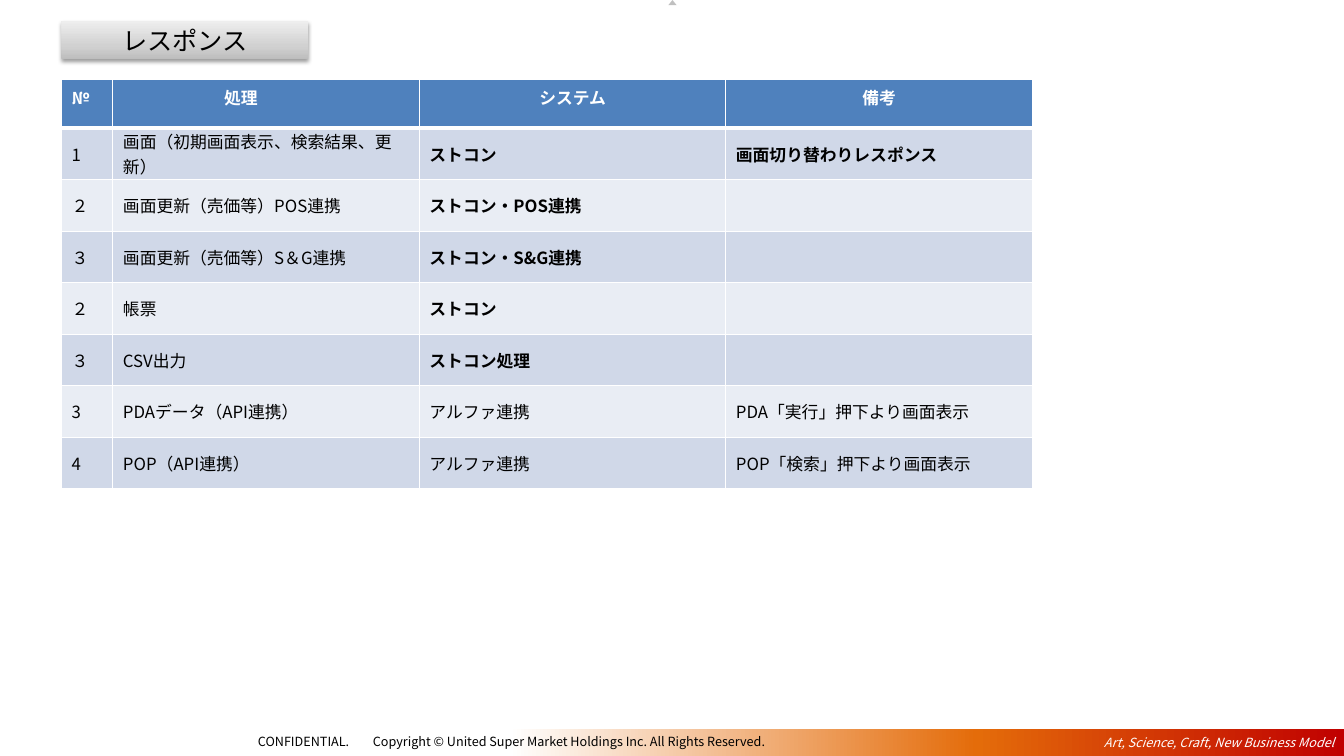
from lxml.etree import SubElement
from pptx import Presentation
from pptx.dml.color import RGBColor
from pptx.enum.shapes import MSO_SHAPE
from pptx.enum.text import MSO_ANCHOR, PP_ALIGN
from pptx.oxml.ns import qn
from pptx.util import Inches, Pt

JP = "Noto Sans CJK JP"
TC = "Noto Sans CJK TC"
HEADERS = ["№", "処理", "システム", "備考"]
ROWS = [
    ["1", "画面（初期画面表示、検索結果、更新）", "ストコン", "画面切り替わりレスポンス"],
    ["２", "画面更新（売価等）POS連携", "ストコン・POS連携", ""],
    ["３", "画面更新（売価等）S＆G連携", "ストコン・S&G連携", ""],
    ["２", "帳票", "ストコン", ""],
    ["３", "CSV出力", "ストコン処理", ""],
    ["3", "PDAデータ（API連携）", "アルファ連携", "PDA「実行」押下より画面表示"],
    ["4", "POP（API連携）", "アルファ連携", "POP「検索」押下より画面表示"],
]
BOLD_ROWS = 5


def rgb(color):
    """Turn a hex string into a colour."""
    return RGBColor.from_string(color)


def add_text(tf, text, size=12, font=JP, color="000000", bold=False, italic=False,
             align=PP_ALIGN.LEFT):
    """Write one formatted line into the first paragraph of a text frame."""
    p = tf.paragraphs[0]
    p.alignment = align
    r = p.add_run()
    r.text = text
    r.font.size, r.font.name = Pt(size), font
    r.font.bold, r.font.italic = bold, italic
    r.font.color.rgb = rgb(color)
    SubElement(r._r.get_or_add_rPr(), qn("a:ea"), typeface=font)


def add_box(slide, shape, x, y, w, h):
    """Add a preset shape without line or shadow."""
    sp = slide.shapes.add_shape(shape, Inches(x), Inches(y), Inches(w), Inches(h))
    sp.shadow.inherit = False
    sp.line.fill.background()
    sp.text_frame.vertical_anchor = MSO_ANCHOR.MIDDLE
    return sp


def set_gradient(sp, stops, angle):
    """Fill a shape with a linear gradient, its angle counter-clockwise."""
    sp.fill.gradient()
    sp.fill.gradient_angle = angle
    gs_lst = sp._element.spPr.find(qn("a:gradFill")).find(qn("a:gsLst"))
    gs_lst.clear()
    for pos, color in stops:
        gs = SubElement(gs_lst, qn("a:gs"), pos=str(pos * 1000))
        SubElement(gs, qn("a:srgbClr"), val=color)


def set_shadow(sp):
    """Give a shape a soft shadow straight below."""
    effects = sp._element.spPr.find(qn("a:effectLst"))
    shadow = SubElement(effects, qn("a:outerShdw"), blurRad=str(Pt(3.1)), dist=str(Pt(1.6)),
                        dir="5400000", rotWithShape="0")
    color = SubElement(shadow, qn("a:srgbClr"), val="000000")
    SubElement(color, qn("a:alpha"), val="38000")


def set_borders(cell, bottom):
    """Draw white cell borders with the given bottom width."""
    tc_pr = cell._tc.get_or_add_tcPr()
    for side, width in (("L", 1), ("R", 1), ("T", 1), ("B", bottom)):
        ln = SubElement(tc_pr, qn("a:ln" + side), w=str(Pt(width)))
        SubElement(SubElement(ln, qn("a:solidFill")), qn("a:srgbClr"), val="FFFFFF")


def add_footer(slide, x, y, w, h):
    """Place the slogan band and the copyright line."""
    band = add_box(slide, MSO_SHAPE.RECTANGLE, x + 2.59, y, w - 2.59, h)
    set_gradient(band, [(0, "FFFFFF"), (56, "E46C0A"), (100, "C00000")], 0)
    add_text(band.text_frame, "Art, Science, Craft, New Business Model", size=9, font=TC,
             color="FFFFFF", italic=True, align=PP_ALIGN.RIGHT)
    tf = slide.shapes.add_textbox(Inches(x), Inches(y), Inches(5.49), Inches(0.25)).text_frame
    tf.word_wrap = True
    tabs = SubElement(tf.paragraphs[0]._p.get_or_add_pPr(), qn("a:tabLst"))
    SubElement(tabs, qn("a:tab"), pos=str(Inches(1.14)), algn="l")
    add_text(tf, "CONFIDENTIAL.\tCopyright © United Super Market Holdings Inc. All Rights Reserved.",
             size=9, font=TC)


def add_marker(slide, x, y, w, h):
    """Place the small triangle at the top edge."""
    sp = add_box(slide, MSO_SHAPE.ISOSCELES_TRIANGLE, x, y, w, h)
    sp.fill.solid()
    sp.fill.fore_color.rgb = rgb("C0C0C0")


def add_title(slide, x, y, w, h):
    """Place the shaded title plate."""
    sp = add_box(slide, MSO_SHAPE.RECTANGLE, x, y, w, h)
    set_gradient(sp, [(0, "BDBDBD"), (35, "D1D1D1"), (100, "EEEEEE")], 90)
    set_shadow(sp)
    add_text(sp.text_frame, "レスポンス", size=18, align=PP_ALIGN.CENTER)


def add_response_table(slide, x, y, w, h):
    """Place the response table with its header and striped rows."""
    number_w, header_h = 0.51, 0.48
    table = slide.shapes.add_table(len(ROWS) + 1, len(HEADERS), Inches(x), Inches(y),
                                   Inches(w), Inches(h)).table
    table.first_row = table.horz_banding = False
    for i, col in enumerate(table.columns):
        col.width = Inches((w - number_w) / 3 if i else number_w)
    for i, row in enumerate(table.rows):
        row.height = Inches((h - header_h) / len(ROWS) if i else header_h)
    for i, texts in enumerate([HEADERS] + ROWS):
        for j, text in enumerate(texts):
            cell = table.cell(i, j)
            set_borders(cell, 1 if i else 3)
            cell.fill.solid()
            if i == 0:
                cell.fill.fore_color.rgb = rgb("4F81BD")
                add_text(cell.text_frame, text, color="FFFFFF", bold=True,
                         align=PP_ALIGN.CENTER if j else PP_ALIGN.LEFT)
                continue
            cell.fill.fore_color.rgb = rgb("D0D8E8" if i % 2 else "E9EDF4")
            cell.vertical_anchor = MSO_ANCHOR.MIDDLE
            cell.margin_top = cell.margin_bottom = 0
            if text:
                add_text(cell.text_frame, text, bold=j > 1 and i <= BOLD_ROWS)
    table.cell(0, 1).margin_right = Inches(0.6)


def main():
    """Build the slide and save it."""
    prs = Presentation()
    prs.slide_width, prs.slide_height = Inches(13.33), Inches(7.5)
    slide = prs.slides.add_slide(prs.slide_layouts[6])
    add_footer(slide, 2.46, 7.23, 10.87, 0.27)
    add_marker(slide, 6.63, 0, 0.08, 0.05)
    add_title(slide, 0.61, 0.21, 2.45, 0.38)
    add_response_table(slide, 0.61, 0.79, 9.63, 4.06)
    prs.save("out.pptx")


if __name__ == "__main__":
    main()
